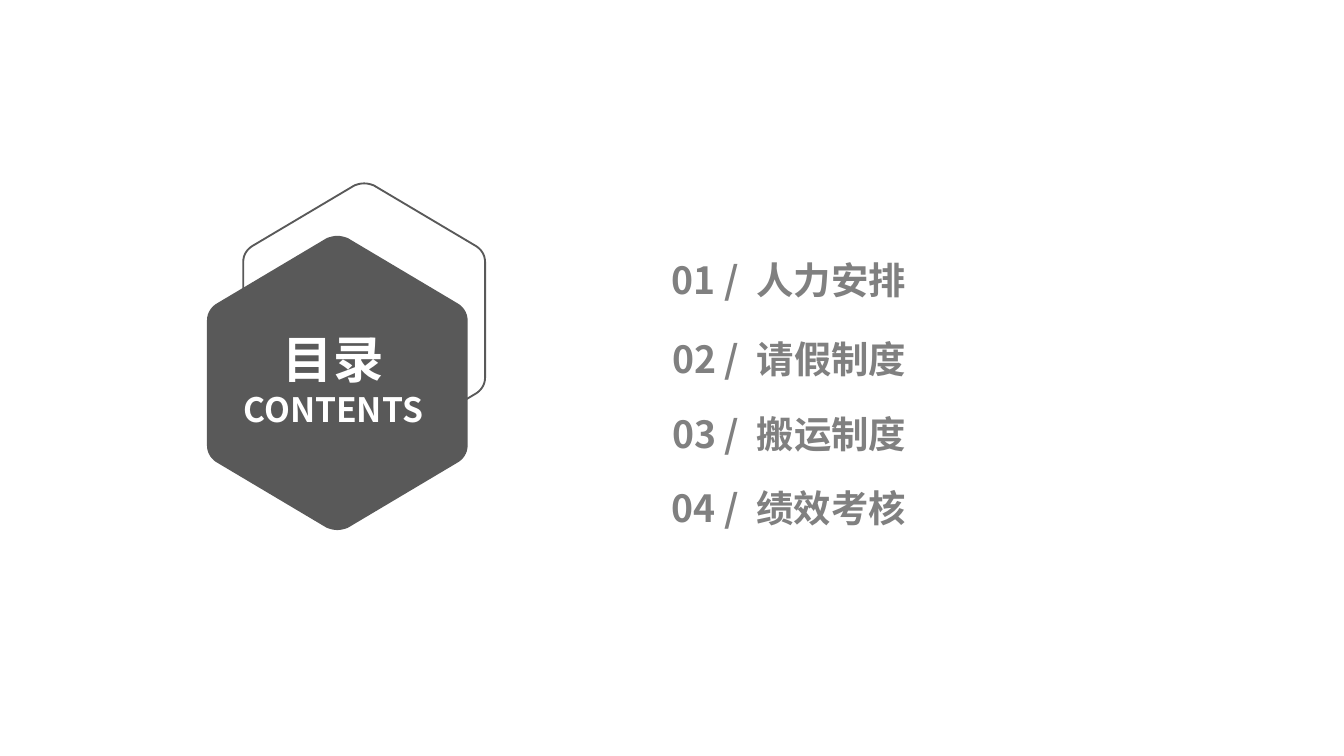
"""Build a contents slide with two rounded hexagons and four numbered entries."""
from lxml import etree
from pptx import Presentation
from pptx.dml.color import RGBColor
from pptx.enum import text as t
from pptx.oxml import ns
from pptx.util import Inches, Pt

COLORS = {"dark": "595959", "grey": "808080", "white": "FFFFFF"}
FONT = "Noto Sans CJK SC"
STEPS = 8
TOP_CORNER = [(0.46, 0.01), (0.49, 0), (0.51, 0), (0.54, 0.01)]
SIDE_CORNER = [(0.96, 0.23), (0.98, 0.24), (1, 0.26), (1, 0.29)]


def add_text(para, text, *, size, color, align=t.PP_ALIGN.LEFT):
    para.alignment = align
    span = para.add_run()
    span.text = text
    span.font.size = Pt(size)
    span.font.bold = True
    span.font.color.rgb = RGBColor.from_string(COLORS[color])
    span.font.name = FONT
    etree.SubElement(span.font._element, ns.qn("a:ea"), typeface=FONT)


def add_box(left, top, width, height):
    box = page.shapes.add_textbox(Inches(left), Inches(top), Inches(width), Inches(height))
    frame = box.text_frame
    frame.word_wrap = True
    frame.auto_size = t.MSO_AUTO_SIZE.SHAPE_TO_FIT_TEXT
    frame.margin_left = frame.margin_right = Inches(0.08)
    frame.margin_top = frame.margin_bottom = Inches(0.04)
    return frame


deck = Presentation()
deck.slide_width = Inches(10)
deck.slide_height = deck.slide_width * 9 // 16
page = deck.slides.add_slide(deck.slide_layouts[6])

quarter = []
for corner, first in ((TOP_CORNER, STEPS // 2), (SIDE_CORNER, 0)):
    for step in range(first, STEPS + 1):
        f = step / STEPS
        weights = ((1 - f) ** 3, 3 * f * (1 - f) ** 2, 3 * f * f * (1 - f), f ** 3)
        quarter.append(tuple(sum(w * p[axis] for w, p in zip(weights, corner)) for axis in (0, 1)))
right = quarter + [(x, 1 - y) for x, y in reversed(quarter)]
outline = right + [(1 - x, y) for x, y in reversed(right)]

hexagons = []
for left, top, width, height in ((1.81, 1.36, 1.8, 2.04), (1.54, 1.75, 1.94, 2.2)):
    points = [(Inches(left + x * width), Inches(top + y * height)) for x, y in outline]
    builder = page.shapes.build_freeform(*points[0])
    builder.add_line_segments(points[1:], close=True)
    hexagon = builder.convert_to_shape()
    hexagon.shadow.inherit = False
    hexagons.append(hexagon)

back, front = hexagons
back.fill.background()
back.line.color.rgb = RGBColor.from_string(COLORS["dark"])
back.line.width = Pt(1)
front.fill.solid()
front.fill.fore_color.rgb = RGBColor.from_string(COLORS["dark"])
front.line.fill.background()
page.shapes._spTree.append(front._element)

entries = [
    (1.87, 3.26, "人力安排"),
    (2.46, 2.68, "请假制度"),
    (3.02, 2.98, "搬运制度"),
    (3.57, 2.83, "绩效考核"),
]
for number, (top, width, title) in enumerate(entries, 1):
    para = add_box(4.92, top, width, 0.41).paragraphs[0]
    add_text(para, f"{number:02d} /\t{title}", size=20, color="grey")
    tabs = etree.SubElement(para._p.get_or_add_pPr(), ns.qn("a:tabLst"))
    etree.SubElement(tabs, ns.qn("a:tab"), pos=str(Inches(0.63)), algn="l")

heading = add_box(1.57, 2.4, 1.82, 0.83)
add_text(heading.paragraphs[0], "目录", size=27, color="white", align=t.PP_ALIGN.CENTER)
add_text(heading.add_paragraph(), "CONTENTS", size=18, color="white", align=t.PP_ALIGN.CENTER)

deck.save("out.pptx")
